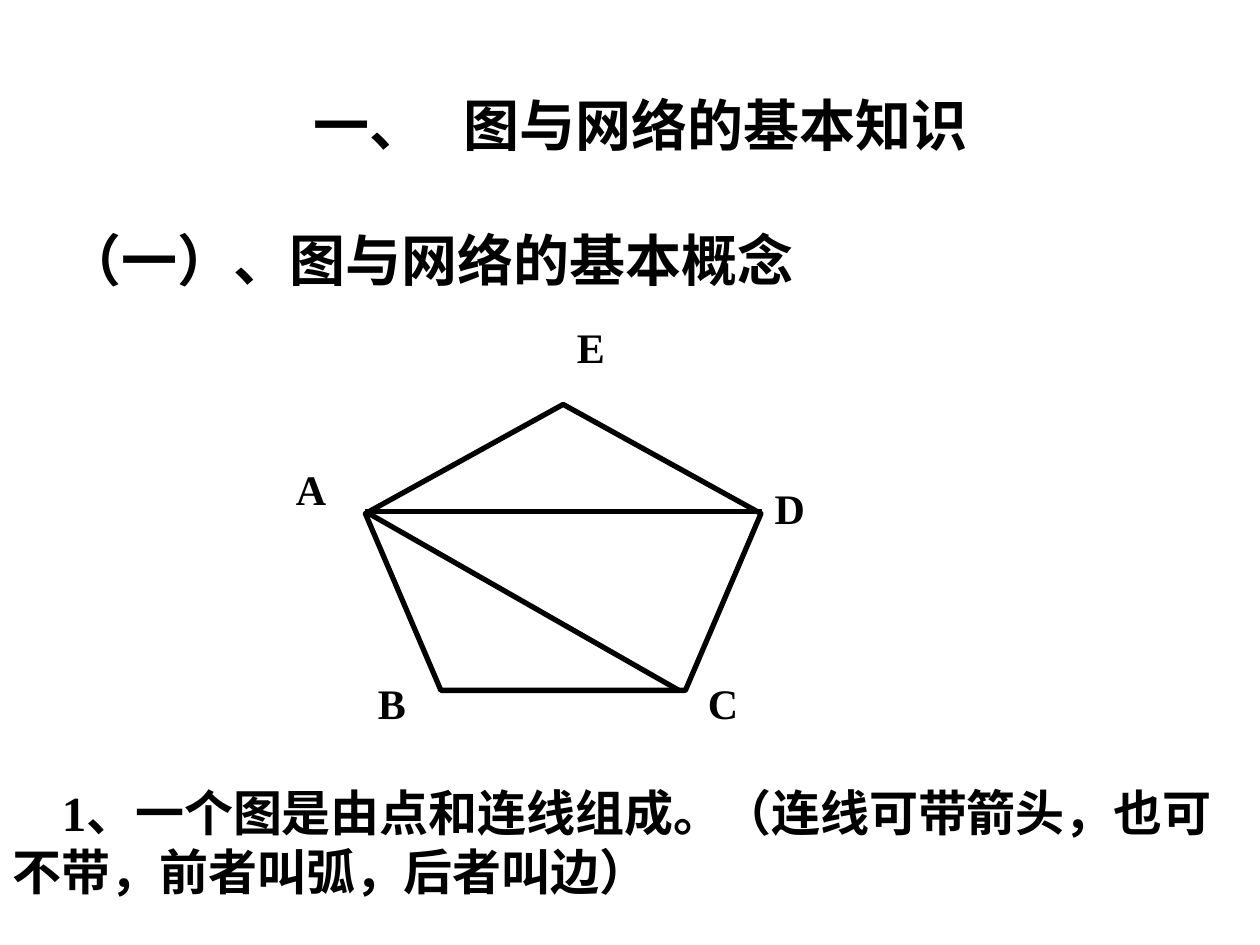
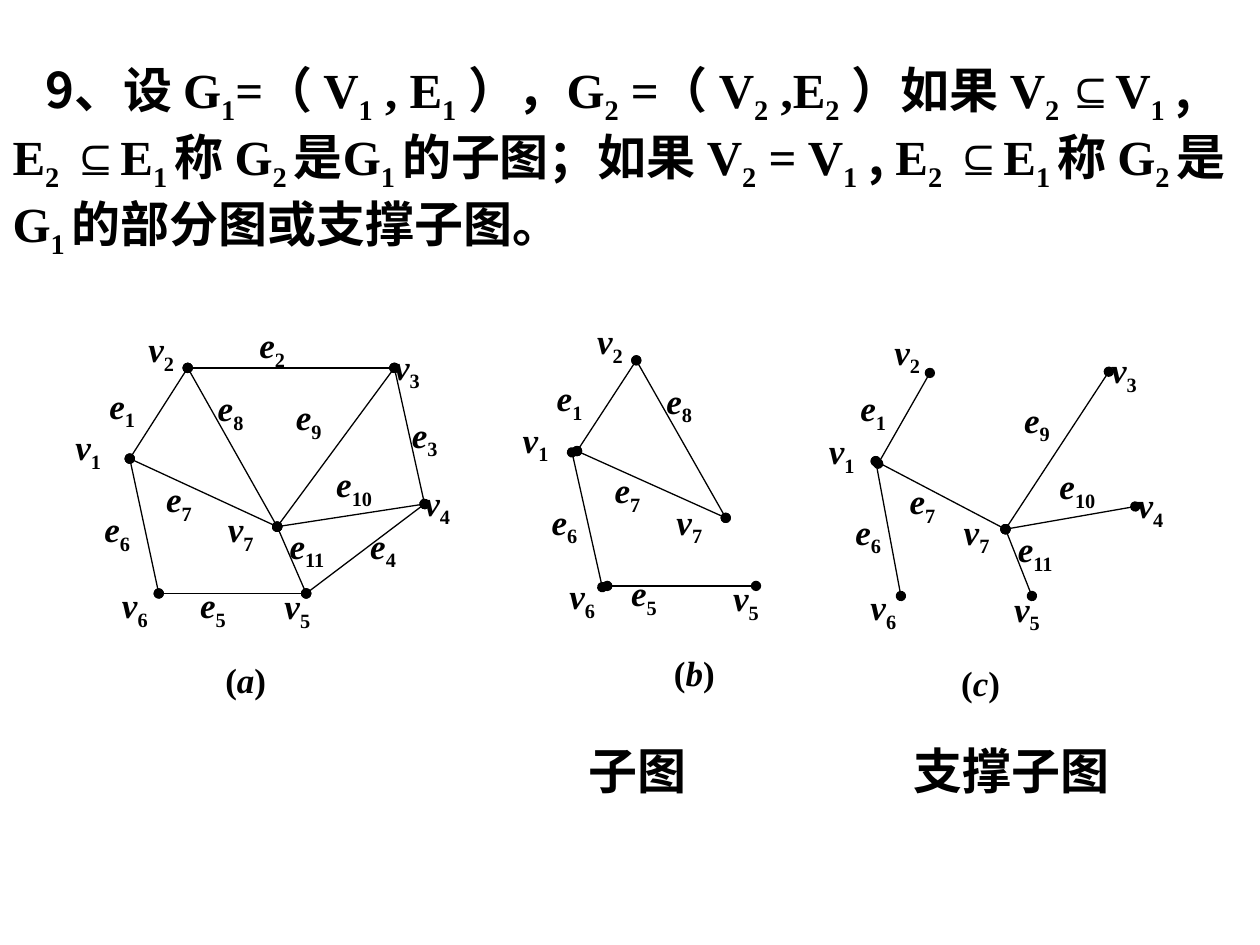
from dataclasses import dataclass

from lxml import etree
from pptx import Presentation
from pptx.dml.color import RGBColor
from pptx.enum.shapes import MSO_CONNECTOR, MSO_SHAPE
from pptx.enum.text import MSO_ANCHOR, MSO_AUTO_SIZE, PP_ALIGN
from pptx.oxml.ns import qn
from pptx.util import Pt

PX = 9144  # one px is a hundredth of an inch
STRAIGHT = MSO_CONNECTOR.STRAIGHT
PENTAGON = MSO_SHAPE.REGULAR_PENTAGON
TOP = MSO_ANCHOR.TOP
NO_FIT = MSO_AUTO_SIZE.NONE
LEFT, CENTER, JUSTIFY = PP_ALIGN.LEFT, PP_ALIGN.CENTER, PP_ALIGN.JUSTIFY


@dataclass(frozen=True)
class Theme:
    ink: RGBColor = RGBColor(0, 0, 0)
    latin: str = "Times New Roman"
    chinese: str = "Noto Sans CJK SC"
    title: int = 32
    body: int = 28
    corner: int = 24
    label: int = 20
    title_line: float = 38.4
    body_line: float = 33.6
    formula_line: float = 38.3
    thick: float = 3
    thin: float = 0.75


THEME = Theme()

# Markup in texts: ~Chinese font~, _subscript_, *italic*
DEFINITION = (
    "~9、设 ~G_1_=（ V_1_ , E_1_ ），G_2_ =（ V_2_ ,E_2_ ）~如果 ~V_2 _⊆V_1_~ , ~E_2_ ⊆E_1 _"
    "~称 ~G_2 _~是~G_1 _~的子图；如果 ~V_2_ = V_1_~ , ~E_2_ ⊆E_1 _"
    "~称 ~G_2 _~是 ~G_1 _~的部分图或支撑子图。~"
)

# Corner letters of the pentagon: left, top
CORNERS = {"E": (448, 250), "A": (225, 363), "D": (605, 378), "C": (552, 533), "B": (290, 533)}

# Edge labels with short names fit a narrow box
NARROW = {"v5", "e2", "e3", "e4", "e5", "e6", "e7", "e8", "e9", "e10"}

# Points and label places (left, top); a primed point is a second end near its vertex
GRAPHS = [
    {
        "points": {"v1": (103, 364), "v2": (149, 292), "v3": (313, 292), "v4": (337, 400),
                   "v5": (243, 471), "v6": (126, 471), "v7": (220, 418)},
        "edges": "v2-v3 v2-v1 v1-v6 v6-v5 v5-v4 v3-v4 v1-v7 v7-v4 v7-v3 v7-v5 v2-v7",
        "labels": {"v1": (50, 333), "v2": (108, 255), "v3": (303, 269), "v4": (327, 377),
                   "v5": (216, 459), "v6": (87, 458), "v7": (171, 398), "e1": (77, 300),
                   "e2": (196, 252), "e3": (317, 323), "e4": (284, 411), "e5": (149, 458),
                   "e6": (73, 398), "e7": (122, 374), "e8": (163, 302), "e9": (225, 309),
                   "e10": (257, 362), "e11": (220, 411)},
        "widths": (94, 70),
        "letter": ("a", 169, 518, 140),
        "caption": None,
    },
    {
        "points": {"v1": (454, 359), "v1'": (458, 358), "v2": (505, 286), "v5": (600, 465),
                   "v6": (478, 466), "v6'": (482, 465), "v7": (576, 411)},
        "edges": "v2-v1' v1-v6 v6'-v5 v1'-v7 v2-v7",
        "labels": {"v1": (405, 327), "v2": (464, 249), "v5": (572, 453), "v6": (442, 451),
                   "v7": (527, 392), "e1": (432, 294), "e5": (491, 449), "e6": (428, 392),
                   "e7": (478, 367), "e8": (519, 296)},
        "widths": (95, 71),
        "letter": ("b", 525, 512, 142),
        "caption": ("子图", 457, 583, 99),
    },
    {
        "points": {"v1": (695, 366), "v1'": (697, 368), "v2": (738, 296), "v3": (880, 295),
                   "v4": (901, 402), "v5": (819, 473), "v6": (715, 473), "v7": (798, 420)},
        "edges": "v2-v1' v7-v4 v1-v6 v7-v5 v1-v7 v7-v3",
        "labels": {"v1": (648, 336), "v2": (700, 257), "v3": (872, 272), "v4": (893, 379),
                   "v5": (795, 461), "v6": (681, 460), "v7": (755, 400), "e1": (673, 302),
                   "e6": (669, 400), "e7": (712, 376), "e9": (803, 311), "e10": (831, 364),
                   "e11": (798, 414)},
        "widths": (82, 62),
        "letter": ("c", 753, 520, 124),
        "caption": ("支撑子图", 715, 583, 177),
    },
]


def emu(*lengths):
    return [length * PX for length in lengths]


def add_span(para, text, size, chinese=False, subscript=False, italic=False):
    span = para.add_run()
    span.text = text
    font = span.font
    font.size, font.bold, font.italic = Pt(size), True, italic
    font.color.rgb = THEME.ink
    font.name = THEME.chinese if chinese else THEME.latin
    properties = span._r.get_or_add_rPr()
    etree.SubElement(properties, qn("a:ea")).set("typeface", THEME.chinese)
    if subscript:
        properties.set("baseline", "-25000")
    return span


def write(para, text, size, align=LEFT, line=None, before=0):
    """Fill a paragraph with text in the markup above."""
    para.alignment = align
    para.space_before = Pt(before)
    if line:
        para.line_spacing = Pt(line)
    for i, part in enumerate(text.split("~")):
        for j, piece in enumerate(part.split("_")):
            for k, words in enumerate(piece.split("*")):
                if words:
                    add_span(para, words, size, i % 2 == 1, j % 2 == 1, k % 2 == 1)


def place(box, left, top, width, height):
    """Move a placeholder and give it a plain top-anchored frame."""
    box.left, box.top, box.width, box.height = emu(left, top, width, height)
    frame = box.text_frame
    frame.auto_size, frame.vertical_anchor, frame.word_wrap = NO_FIT, TOP, True
    return frame


def fill_body(page, text, area, indent, line):
    para = place(page.placeholders[1], *area).paragraphs[0]
    properties = para._p.get_or_add_pPr()
    properties.set("marL", "0")
    properties.set("indent", str(indent * PX))
    etree.SubElement(properties, qn("a:buNone"))
    write(para, text, THEME.body, line=line)


def add_label(shapes, text, area, size, align=LEFT, line=None, wrap=True):
    frame = shapes.add_textbox(*emu(*area)).text_frame
    frame.word_wrap = wrap
    write(frame.paragraphs[0], text, size, align, line)


def add_line(shapes, start, end, weight, dots=False):
    line = shapes.add_connector(STRAIGHT, *emu(*start, *end))
    line.line.color.rgb = THEME.ink
    line.line.width = Pt(weight)
    if dots:
        outline = line.line._get_or_add_ln()
        for tag in ("a:headEnd", "a:tailEnd"):
            etree.SubElement(outline, qn(tag)).set("type", "oval")
    etree.SubElement(line._element.spPr, qn("a:effectLst"))


def add_pentagon(page):
    shapes = page.shapes.add_group_shape().shapes
    pentagon = shapes.add_shape(PENTAGON, *emu(290, 321, 314, 227))
    pentagon.shadow.inherit = False
    pentagon.fill.background()
    pentagon.line.color.rgb = THEME.ink
    pentagon.line.width = Pt(THEME.thick)
    for end in ((539, 548), (605, 406)):
        add_line(shapes, (290, 406), end, THEME.thick)
    for letter, (left, top) in CORNERS.items():
        add_label(shapes, letter, (left, top, 79, 50), THEME.corner)


def add_graph(page, graph):
    shapes = page.shapes.add_group_shape().shapes
    points = graph["points"]
    for edge in graph["edges"].split():
        start, end = edge.split("-")
        add_line(shapes, points[start], points[end], THEME.thin, dots=True)

    wide, narrow = graph["widths"]
    for name, (left, top) in graph["labels"].items():
        width = narrow if name in NARROW else wide
        add_label(shapes, f"*{name[0]}*_{name[1:]}_", (left, top, width, 54),
                  THEME.label, JUSTIFY)

    letter, left, top, width = graph["letter"]
    add_label(shapes, f"(*{letter}*)", (left, top, width, 72), THEME.label, JUSTIFY)
    if graph["caption"]:
        words, left, top, width = graph["caption"]
        add_label(shapes, f"~{words}~", (left, top, width, 57), THEME.body,
                  line=THEME.body_line, wrap=False)


def build_concepts(page):
    # Title and section heading
    frame = place(page.shapes.title, 42, 67, 933, 170)
    heading = frame.paragraphs[0]
    write(heading, "~一、~ 图与网络的基本知识", THEME.title, CENTER, THEME.title_line)
    heading.runs[0]._r.get_or_add_rPr().set("spc", "0")
    heading.runs[1].text = "图与网络的基本知识"
    gap = add_span(heading, " ", THEME.title)
    gap._r.get_or_add_rPr().set("spc", "1400")
    heading.runs[0]._r.addnext(gap._r)
    write(frame.add_paragraph(), "（一）、~图与网络的基本概念~", THEME.title, LEFT,
          THEME.title_line, before=THEME.title_line)

    # Example and definition
    add_pentagon(page)
    fill_body(page, "1、一个图是由点和连线组成。（连线可带箭头，也可不带，前者叫弧，后者叫边）",
              (0, 616, 1000, 103), 39, THEME.body_line)


def build_subgraphs(page):
    title = page.shapes.title._element
    title.getparent().remove(title)
    fill_body(page, DEFINITION, (0, 42, 1000, 170), 26, THEME.formula_line)
    for graph in GRAPHS:
        add_graph(page, graph)


def main():
    deck = Presentation()
    deck.slide_width, deck.slide_height = emu(1000, 750)
    layout = deck.slide_layouts[1]
    for build in (build_concepts, build_subgraphs):
        build(deck.slides.add_slide(layout))
    deck.save("out.pptx")


if __name__ == "__main__":
    main()
